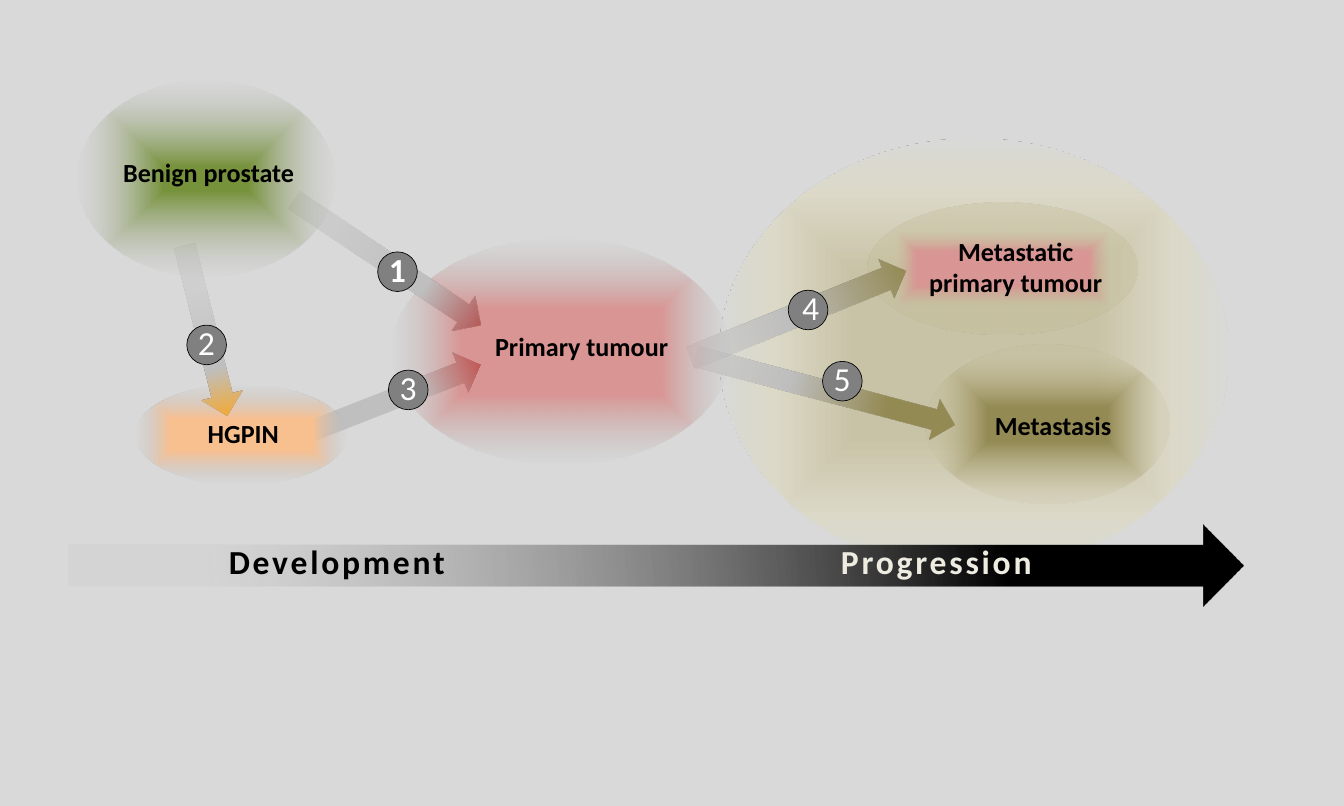
import pptx
import pptx.dml.color
import pptx.enum.shapes
import pptx.enum.text
import pptx.oxml
import pptx.oxml.ns
import pptx.util

Inches = pptx.util.Inches
SHAPE = pptx.enum.shapes.MSO_SHAPE
ANCHOR = pptx.enum.text.MSO_ANCHOR

COLORS = {
    "background": "D9D9D9", "black": "000000", "white": "FFFFFF",
    "cream": "EEECE1", "badge": "808080", "silver": "BFBFBF",
    "green": "77933C", "peach": "FAC090", "orange": "FFA61B",
    "pink": "D99694", "red": "C24845", "dark red": "B2413F",
    "olive": "948A54", "khaki": "C4BD97", "sand": "DDD9C3",
}
CENTRE_OUT = ('<a:path path="shape"><a:fillToRect l="50000" t="50000" '
              'r="50000" b="50000"/></a:path>')


def rgb(name):
    """Return the named colour."""
    return pptx.dml.color.RGBColor.from_string(COLORS[name])


def add_plain_shape(slide, kind, box):
    """Add a preset shape without shadow or outline."""
    shape = slide.shapes.add_shape(kind, *map(Inches, box))
    shape.shadow.inherit = False
    shape.line.fill.background()
    return shape


def fill_gradient(shape, stops, direction):
    """Fill with (position, colour, opacity) stops, all in percent."""
    stop_xml = "".join(
        f'<a:gs pos="{position * 1000}"><a:srgbClr val="{COLORS[color]}">'
        f'<a:alpha val="{opacity * 1000}"/></a:srgbClr></a:gs>'
        for position, color, opacity in stops)
    shape.fill.background()
    properties = shape._element.spPr
    empty_fill = properties.find(pptx.oxml.ns.qn("a:noFill"))
    properties.replace(empty_fill, pptx.oxml.parse_xml(
        f'<a:gradFill {pptx.oxml.ns.nsdecls("a")} rotWithShape="1">'
        f'<a:gsLst>{stop_xml}</a:gsLst>{direction}</a:gradFill>'))


def linear(angle):
    """Return the direction of a linear gradient, in degrees."""
    return f'<a:lin ang="{angle * 60000}" scaled="0"/>'


def add_tissue(slide, box, *stops):
    """Add an ellipse that fades from its centre."""
    fill_gradient(add_plain_shape(slide, SHAPE.OVAL, box), stops, CENTRE_OUT)


def add_transition(slide, box, rotation, *stops, shaft=0.5):
    """Add a turned arrow that is shaded from tail to head."""
    arrow = add_plain_shape(slide, SHAPE.UP_ARROW, box)
    arrow.rotation = rotation
    arrow.adjustments[0] = shaft
    fill_gradient(arrow, stops, linear(270))


def write(shape, text, size, color, insets, bold=True, spacing=0):
    """Write one centred run; insets are left, top, right, bottom."""
    frame = shape.text_frame
    frame.word_wrap = True
    (frame.margin_left, frame.margin_top,
     frame.margin_right, frame.margin_bottom) = map(Inches, insets)
    paragraph = frame.paragraphs[0]
    paragraph.alignment = pptx.enum.text.PP_ALIGN.CENTER
    run = paragraph.add_run()
    run.text = text
    run.font.name = "Calibri"
    run.font.size = pptx.util.Pt(size)
    run.font.bold = bold
    run.font.color.rgb = rgb(color)
    if spacing:
        run.font._element.set("spc", str(spacing * 100))


def add_label(slide, box, text):
    """Name a tissue."""
    label = slide.shapes.add_textbox(*map(Inches, box))
    write(label, text, 28, "black", (0.1, 0, 0.1, 0.05))
    label.text_frame.vertical_anchor = ANCHOR.MIDDLE


def add_phase(slide, box, text, color):
    """Add a letter-spaced heading on the timeline."""
    phase = slide.shapes.add_textbox(*map(Inches, box))
    write(phase, text, 36, color, (0, 0, 0, 0.05), spacing=3)
    phase.text_frame.auto_size = pptx.enum.text.MSO_AUTO_SIZE.SHAPE_TO_FIT_TEXT


def add_badge(slide, left, top, number, inset=0.08, bold=False):
    """Add the numbered circle of a transition."""
    badge = add_plain_shape(slide, SHAPE.OVAL, (left, top, 0.59, 0.59))
    badge.fill.solid()
    badge.fill.fore_color.rgb = rgb("badge")
    badge.line.color.rgb = rgb("black")
    badge.line.width = pptx.util.Pt(0.75)
    write(badge, number, 36, "white", (inset, 0, 0.1, 0.08), bold)
    badge.text_frame.vertical_anchor = ANCHOR.MIDDLE


def main():
    """Build the slide on prostate tumour development."""
    deck = pptx.Presentation()
    deck.slide_width, deck.slide_height = Inches(20), Inches(12)
    slide = deck.slides.add_slide(deck.slide_layouts[6])
    slide.background.fill.solid()
    slide.background.fill.fore_color.rgb = rgb("background")

    # Tissues and transitions, from back to front
    add_tissue(slide, (10.71, 2.06, 7.56, 6.42), (39, "khaki", 76),
               (74, "sand", 74), (100, "background", 100))
    add_tissue(slide, (13.78, 5.13, 3.62, 2.36),
               (21, "olive", 100), (87, "khaki", 17))
    add_transition(slide, (11.97, 3.83, 0.63, 3.97), 104.8, (0, "silver", 37),
                   (37, "silver", 100), (72, "olive", 100))
    add_tissue(slide, (12.91, 3.01, 4.02, 1.97),
               (26, "pink", 100), (57, "khaki", 33))
    add_transition(slide, (11.56, 2.96, 0.63, 3.44), 68, (22, "silver", 57),
                   (45, "silver", 100), (95, "olive", 100), shaft=0.56)
    add_tissue(slide, (5.83, 3.56, 5.03, 3.35),
               (38, "pink", 100), (100, "silver", 1))
    add_transition(slide, (5.45, 4.49, 0.63, 2.97), 68.6, (34, "silver", 100),
                   (64, "silver", 100), (99, "red", 100))
    add_tissue(slide, (2.01, 5.72, 3.15, 1.5),
               (31, "peach", 100), (99, "silver", 0))
    add_transition(slide, (2.75, 3.63, 0.63, 2.59), 166.2, (29, "silver", 37),
                   (70, "silver", 100), (100, "orange", 100))
    add_transition(slide, (5.45, 2.25, 0.63, 3.32), 123.8, (25, "silver", 50),
                   (67, "silver", 100), (99, "dark red", 100))
    add_tissue(slide, (1.15, 1.2, 3.82, 2.92),
               (12, "green", 100), (100, "silver", 4))

    add_label(slide, (13.7, 3.64, 2.83, 0.71), "Metastatic primary tumour")
    add_label(slide, (14.41, 6, 2.52, 0.71), "Metastasis")
    add_label(slide, (7.24, 4.82, 2.83, 0.71), "Primary tumour")

    timeline = add_plain_shape(slide, SHAPE.RIGHT_ARROW,
                               (1.02, 7.81, 17.48, 1.22))
    fill_gradient(timeline, [(12, "silver", 17), (80, "black", 100)],
                  linear(355))
    add_phase(slide, (2.93, 8.05, 4.17, 0.66), "Development", "black")
    add_phase(slide, (11.73, 8.05, 4.41, 0.66), "Progression", "cream")

    add_label(slide, (2.87, 6.12, 1.5, 0.71), "HGPIN")
    add_label(slide, (1.69, 2.23, 2.83, 0.71), "Benign prostate")

    add_badge(slide, 5.62, 3.75, "1", bold=True)
    add_badge(slide, 2.78, 4.84, "2")
    add_badge(slide, 12.24, 5.38, "5")
    add_badge(slide, 5.78, 5.51, "3")
    add_badge(slide, 11.73, 4.32, "4", inset=0.12)

    deck.save("out.pptx")


main()
